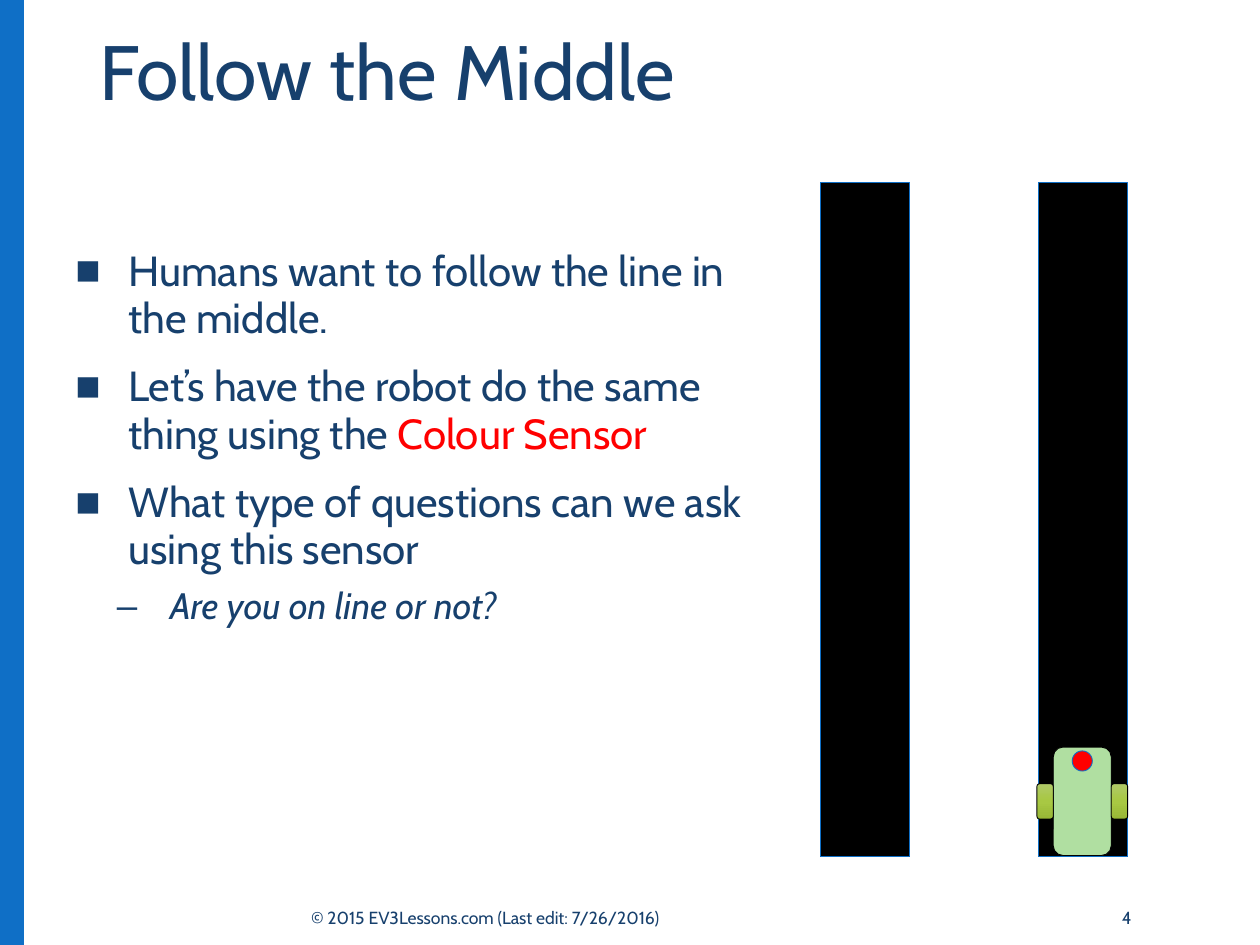
from dataclasses import dataclass

from lxml.etree import SubElement
from pptx import Presentation
from pptx.dml.color import RGBColor
from pptx.enum.shapes import MSO_SHAPE
from pptx.enum.text import MSO_ANCHOR, PP_ALIGN
from pptx.oxml import parse_xml
from pptx.oxml.ns import nsdecls, qn
from pptx.util import Inches, Pt


@dataclass(frozen=True)
class Theme:
    font: str = "Cabin"
    text: str = "17406D"
    accent: str = "0F6FC6"
    track: str = "000000"
    sensor: str = "FF0000"
    robot: str = "B0DFA1"
    wheel: tuple = ((0, "AFC966"), (50, "A8C843"), (100, "98B736"))
    title_size: int = 44
    body_size: int = 24
    detail_size: int = 21
    footer_size: int = 10


THEME = Theme()


def add_box(shapes, kind, left, top, width, height, fill, line=None):
    shape = shapes.add_shape(kind, Inches(left), Inches(top), Inches(width), Inches(height))
    shape.shadow.inherit = False
    if isinstance(fill, str):
        shape.fill.solid()
        shape.fill.fore_color.rgb = RGBColor.from_string(fill)
    else:
        apply_gradient(shape, fill)
    if line:
        shape.line.color.rgb = RGBColor.from_string(line)
        shape.line.width = Pt(0.5)
    else:
        shape.line.fill.background()
    return shape


def apply_gradient(shape, stops):
    stop_xml = "".join(
        f'<a:gs pos="{position * 1000}"><a:srgbClr val="{color}"/></a:gs>'
        for position, color in stops
    )
    gradient = parse_xml(
        f'<a:gradFill {nsdecls("a")} rotWithShape="1"><a:gsLst>{stop_xml}</a:gsLst>'
        '<a:lin ang="5400000" scaled="0"/></a:gradFill>'
    )
    shape.element.spPr.find(qn("a:prstGeom")).addnext(gradient)


def add_frame(slide, left, top, width, height, anchor=MSO_ANCHOR.TOP):
    text_box = slide.shapes.add_textbox(Inches(left), Inches(top), Inches(width), Inches(height))
    frame = text_box.text_frame
    frame.word_wrap = True
    frame.vertical_anchor = anchor
    return frame


def add_run(paragraph, text, *, size, color=THEME.text, italic=False):
    run = paragraph.add_run()
    run.text = text
    run.font.name = THEME.font
    run.font.size = Pt(size)
    run.font.italic = italic
    run.font.color.rgb = RGBColor.from_string(color)


def set_bullet(paragraph, symbol, indent):
    properties = paragraph._p.get_or_add_pPr()
    properties.set("marL", str(Inches(indent)))
    properties.set("indent", str(Inches(-0.42)))
    SubElement(properties, qn("a:buFont")).set("typeface", "Arial")
    SubElement(properties, qn("a:buChar")).set("char", symbol)


def add_title(slide, left, top, width, height):
    paragraph = add_frame(slide, left, top, width, height).paragraphs[0]
    paragraph.line_spacing = 0.89
    add_run(paragraph, "Follow the Middle", size=THEME.title_size)


def add_body(slide, left, top, width, height):
    frame = add_frame(slide, left, top, width, height)
    items = [
        (0, [("Humans want to follow the line in the middle.", THEME.text)]),
        (0, [("Let’s have the robot do the same thing using the ", THEME.text),
             ("Colour Sensor", THEME.sensor)]),
        (0, [("What type of questions can we ask using this sensor", THEME.text)]),
        (1, [("Are you on line or not?", THEME.text)]),
    ]
    levels = [("■", 0.42, 10, THEME.body_size), ("–", 0.75, 5, THEME.detail_size)]
    for index, (level, runs) in enumerate(items):
        symbol, indent, space_before, size = levels[level]
        paragraph = frame.add_paragraph() if index else frame.paragraphs[0]
        paragraph.level = level
        set_bullet(paragraph, symbol, indent)
        paragraph.line_spacing = 0.94
        paragraph.space_before = Pt(space_before if index else 0)
        paragraph.space_after = Pt(2)
        for text, color in runs:
            add_run(paragraph, text, size=size, color=color, italic=level == 1)


def add_footer(slide, left, top, width, height):
    number_width = 1.31
    parts = [
        (left, 5.15, "© 2015 EV3Lessons.com (Last edit: 7/26/2016)", PP_ALIGN.LEFT),
        (left + width - number_width, number_width, "4", PP_ALIGN.RIGHT),
    ]
    for part_left, part_width, text, alignment in parts:
        frame = add_frame(slide, part_left, top, part_width, height, MSO_ANCHOR.MIDDLE)
        paragraph = frame.paragraphs[0]
        paragraph.alignment = alignment
        add_run(paragraph, text, size=THEME.footer_size)


def add_tracks(slide, left, top, width, height):
    track_width = 0.71
    for track_left in (left, left + width - track_width):
        add_box(slide.shapes, MSO_SHAPE.RECTANGLE, track_left, top, track_width, height,
                THEME.track, THEME.accent)


def add_robot(slide, left, top, width, height):
    shapes = slide.shapes.add_group_shape().shapes
    wheel_width, body_width, sensor_size = 0.13, 0.46, 0.16
    add_box(shapes, MSO_SHAPE.ROUNDED_RECTANGLE, left + (width - body_width) / 2, top,
            body_width, height, THEME.robot, THEME.track)
    for wheel_left in (left + width - wheel_width, left):
        add_box(shapes, MSO_SHAPE.ROUNDED_RECTANGLE, wheel_left, top + 0.29,
                wheel_width, 0.28, THEME.wheel, THEME.track)
    add_box(shapes, MSO_SHAPE.OVAL, left + (width - sensor_size) / 2, top + 0.03,
            sensor_size, sensor_size, THEME.sensor, THEME.accent)


def main():
    presentation = Presentation()
    presentation.slide_width = Inches(10)
    presentation.slide_height = Inches(7.5)
    slide = presentation.slides.add_slide(presentation.slide_layouts[6])
    add_box(slide.shapes, MSO_SHAPE.RECTANGLE, 0, 0, 0.19, 7.5, THEME.accent)
    add_title(slide, 0.69, 0.23, 9.05, 1.08)
    add_body(slide, 0.5, 1.92, 5.7, 4.78)
    add_footer(slide, 2.37, 7.06, 6.71, 0.44)
    add_tracks(slide, 6.51, 1.45, 2.44, 5.35)
    add_robot(slide, 8.23, 5.93, 0.72, 0.86)
    presentation.save("out.pptx")


if __name__ == "__main__":
    main()
